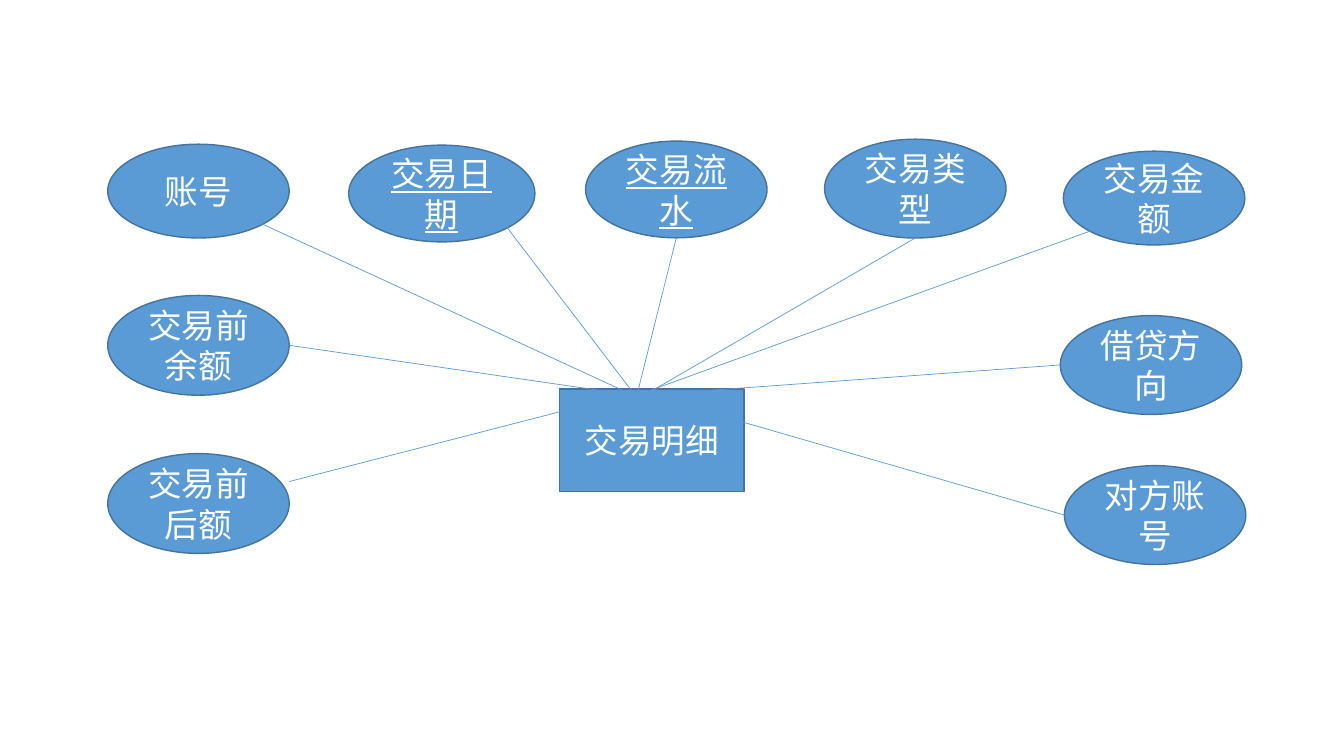
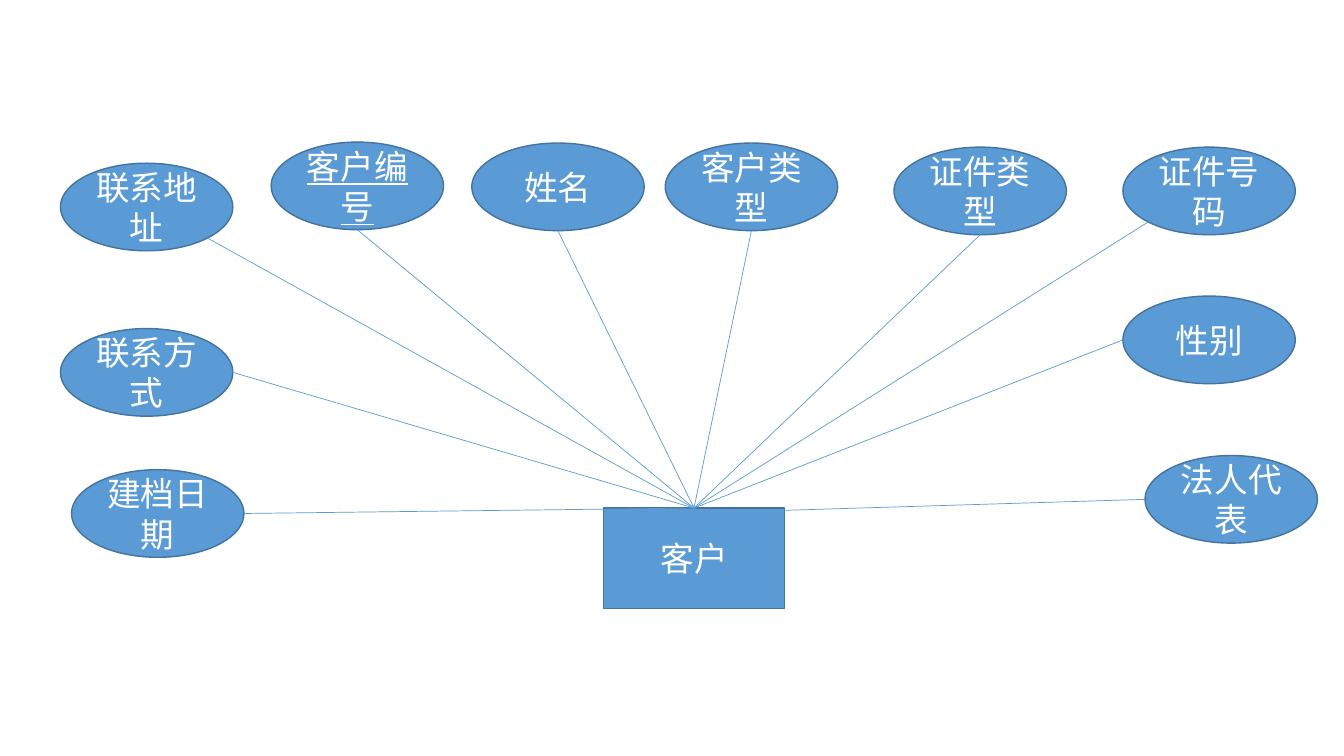
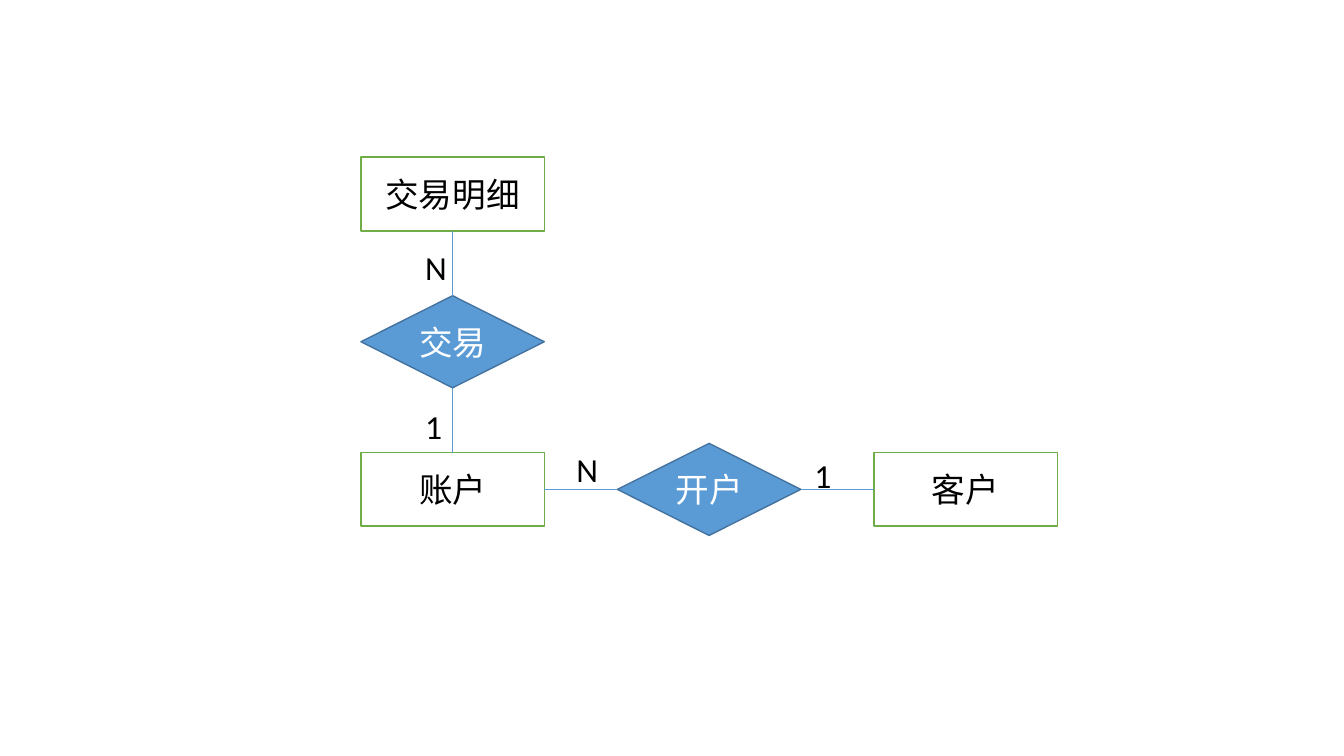
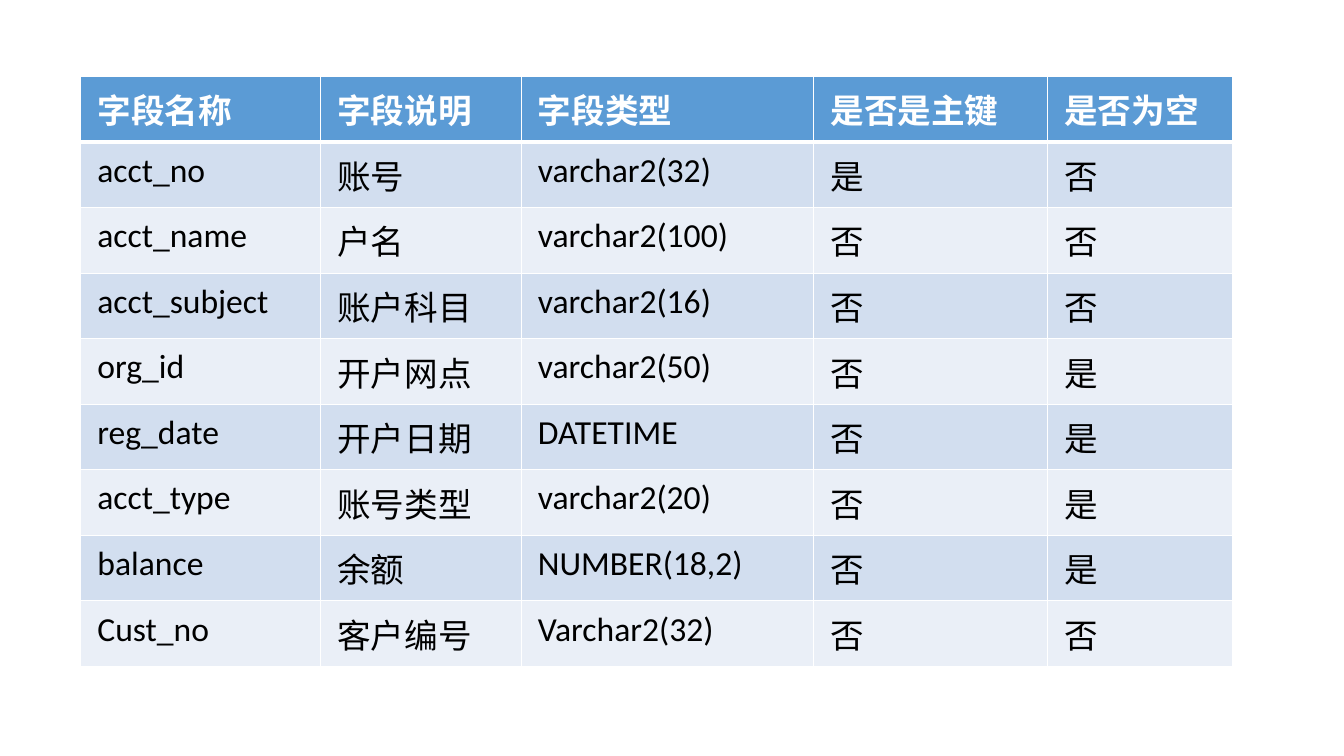
from dataclasses import dataclass

from lxml import etree
from pptx import Presentation
from pptx.dml.color import RGBColor
from pptx.enum.shapes import MSO_CONNECTOR, MSO_SHAPE
from pptx.enum.text import MSO_ANCHOR, MSO_AUTO_SIZE, PP_ALIGN
from pptx.oxml.ns import qn
from pptx.util import Pt


@dataclass(frozen=True)
class Theme:
    font: str = "Calibri"
    size: float = 24
    blue: str = "5B9BD5"
    blue_edge: str = "43739E"
    green: str = "70AD47"
    white: str = "FFFFFF"
    black: str = "000000"
    bands: tuple = ("D2DEEF", "EAEFF7")
    edge: float = 1
    link: float = 0.5
    header_rule: float = 3


@dataclass(frozen=True)
class Box:
    x: float
    y: float
    w: float
    h: float

    def inner(self, dx, dy, w, h):
        """A box placed relative to this one."""
        return Box(self.x + dx, self.y + dy, w, h)

    def point(self, anchor):
        """The point at a fraction of the width and height."""
        return self.x + anchor[0] * self.w, self.y + anchor[1] * self.h

    def lengths(self):
        return Pt(self.x), Pt(self.y), Pt(self.w), Pt(self.h)


THEME = Theme()
SOLID = (THEME.blue, THEME.blue_edge, THEME.white)
OUTLINED = (THEME.white, THEME.green, THEME.black)

# Anchors, as fractions of a box
TOP, BOTTOM, LEFT, RIGHT = (0.5, 0), (0.5, 1), (0, 0.5), (1, 0.5)
LOWER_LEFT, LOWER_RIGHT = (0.15, 0.85), (0.85, 0.85)


def rgb(value):
    return RGBColor.from_string(value)


def write(frame, text, color, align=PP_ALIGN.LEFT, bold=False, underline=None):
    paragraph = frame.paragraphs[0]
    paragraph.alignment = align
    run = paragraph.add_run()
    run.text = text
    font = run.font
    font.name, font.size = THEME.font, Pt(THEME.size)
    font.bold, font.underline = bold, underline
    font.color.rgb = rgb(color)


def add_node(slide, kind, box, text, style, underline=None):
    fill, edge, ink = style
    node = slide.shapes.add_shape(kind, *box.lengths())
    node.shadow.inherit = False
    node.fill.solid()
    node.fill.fore_color.rgb = rgb(fill)
    node.line.color.rgb = rgb(edge)
    node.line.width = Pt(THEME.edge)
    node.text_frame.word_wrap = True
    node.text_frame.vertical_anchor = MSO_ANCHOR.MIDDLE
    write(node.text_frame, text, ink, PP_ALIGN.CENTER, underline=underline)


def add_link(slide, start, end):
    ends = [Pt(length) for length in (*start, *end)]
    link = slide.shapes.add_connector(MSO_CONNECTOR.STRAIGHT, *ends)
    link.line.color.rgb = rgb(THEME.blue)
    link.line.width = Pt(THEME.link)
    etree.SubElement(link._element.spPr, qn("a:effectLst"))


def add_label(slide, box, text, wrap=False):
    frame = slide.shapes.add_textbox(*box.lengths()).text_frame
    frame.word_wrap = wrap
    frame.auto_size = MSO_AUTO_SIZE.SHAPE_TO_FIT_TEXT
    write(frame, text, THEME.black)


def attribute_diagram(slide, box, entity, attributes):
    """An entity with its attributes; key attributes are underlined."""
    name, place = entity
    entity_box = box.inner(*place)
    add_node(slide, MSO_SHAPE.RECTANGLE, entity_box, name, SOLID)

    links = []
    for text, is_key, place, anchor, target in attributes:
        oval = box.inner(*place)
        add_node(slide, MSO_SHAPE.OVAL, oval, text, SOLID, is_key or None)
        links.append((oval.point(anchor), entity_box.point(target)))
    for start, end in links:
        add_link(slide, start, end)


def relation_diagram(slide, box):
    """Entities and relations on a grid of three columns and three rows."""
    width, entity_h, relation_h = 131, 52.6, 65.8
    column_step = (box.w - width) / 2
    row_step = (box.h - entity_h) / 2

    def cell(column, row, height):
        middle = row * row_step + entity_h / 2
        return box.inner(column * column_step, middle - height / 2, width, height)

    # Entities
    details, account, customer = (
        cell(column, row, entity_h) for column, row in ((0, 0), (0, 2), (2, 2)))
    for place, text in ((details, "交易明细"), (account, "账户"), (customer, "客户")):
        add_node(slide, MSO_SHAPE.RECTANGLE, place, text, OUTLINED)

    # Relations
    trade, opening = cell(0, 1, relation_h), cell(1, 2, relation_h)
    for place, text in ((trade, "交易"), (opening, "开户")):
        add_node(slide, MSO_SHAPE.FLOWCHART_DECISION, place, text, SOLID)

    # Links
    for upper, lower in ((details, trade), (trade, account)):
        add_link(slide, upper.point(BOTTOM), lower.point(TOP))
    for first, second in ((account, opening), (opening, customer)):
        add_link(slide, first.point(RIGHT), second.point(LEFT))

    # Cardinalities
    for text, dx, dy, w, wrap in (("N", 38.8, 60.5, 30, False),
                                  ("1", 38.8, 174.3, 40, True),
                                  ("N", 146.8, 204.5, 30, False),
                                  ("1", 316.8, 208.8, 27, False)):
        add_label(slide, box.inner(dx, dy, w, 36), text, wrap)


def set_borders(cell, **widths):
    """White borders; the width of each side may be given."""
    properties = cell._tc.get_or_add_tcPr()
    for index, side in enumerate("LRTB"):
        line = etree.Element(qn(f"a:ln{side}"),
                             w=str(Pt(widths.get(side, THEME.edge))))
        fill = etree.SubElement(line, qn("a:solidFill"))
        etree.SubElement(fill, qn("a:srgbClr"), val=THEME.white)
        properties.insert(index, line)


def field_table(slide, box, column_widths, rows, header_h):
    table = slide.shapes.add_table(
        len(rows), len(column_widths), *box.lengths()).table
    table.horz_banding = False
    for column, width in zip(table.columns, column_widths):
        column.width = Pt(width)
    row_h = (box.h - header_h) / (len(rows) - 1)

    for r, values in enumerate(rows):
        is_header = r == 0
        table.rows[r].height = Pt(header_h if is_header else row_h)
        fill = THEME.blue if is_header else THEME.bands[(r - 1) % 2]
        ink = THEME.white if is_header else THEME.black
        rule = {0: {"B": THEME.header_rule}, 1: {"T": THEME.header_rule}}.get(r, {})
        for c, text in enumerate(values):
            cell = table.cell(r, c)
            cell.margin_left = cell.margin_right = Pt(12)
            cell.margin_top = cell.margin_bottom = Pt(6)
            cell.fill.solid()
            cell.fill.fore_color.rgb = rgb(fill)
            set_borders(cell, **rule)
            write(cell.text_frame, text, ink, bold=is_header)


# Attributes: text, key, place in the diagram, anchor, target on the entity
DETAIL_ENTITY = ("交易明细", (322.6, 178.5, 131.8, 73.4))
DETAIL_ATTRIBUTES = [
    ("交易日期", True, (172.1, 4.3, 133, 69.1), LOWER_RIGHT, (0.41, 0.06)),
    ("借贷方向", False, (680.4, 126, 129.6, 70.6), LEFT, (0.45, 0.06)),
    ("交易金额", False, (682.6, 8.6, 129.6, 67), LOWER_LEFT, (0.42, 0.06)),
    ("交易前余额", False, (0, 111.6, 129.6, 71.3), RIGHT, (0.4, 0.06)),
    ("交易流水", True, (341.3, 1.4, 129.6, 69.1), BOTTOM, (0.42, 0.06)),
    ("交易类型", False, (512, 0, 129.6, 70.6), BOTTOM, (0.46, 0.06)),
    ("账号", False, (0, 3.6, 129.6, 67), LOWER_RIGHT, (0.4, 0.06)),
    ("交易前后额", False, (0, 224.6, 129.6, 71.3), (1, 0.28), (0.35, 0.06)),
    ("对方账号", False, (683.3, 233.2, 129.6, 70.6), LEFT, (0.49, 0.06)),
]

OVAL_SIZE = (123.1, 62.6)
CUSTOMER_ENTITY = ("客户", (388.1, 261.4, 128.9, 72))
CUSTOMER_ATTRIBUTES = [
    ("联系方式", False, (0, 133.2, *OVAL_SIZE), RIGHT, TOP),
    ("证件类型", False, (595.4, 3.6, *OVAL_SIZE), BOTTOM, TOP),
    ("法人代表", False, (774.7, 223.9, *OVAL_SIZE), LEFT, (0.5, 0.05)),
    ("证件号码", False, (758.9, 3.6, *OVAL_SIZE), LOWER_LEFT, TOP),
    ("客户类型", False, (432, 0.7, *OVAL_SIZE), BOTTOM, TOP),
    ("客户编号", True, (150.5, 0, *OVAL_SIZE), BOTTOM, TOP),
    ("姓名", False, (293.8, 0.7, *OVAL_SIZE), BOTTOM, TOP),
    ("性别", False, (758.9, 110, *OVAL_SIZE), LEFT, TOP),
    ("建档日期", False, (7.9, 234, *OVAL_SIZE), RIGHT, TOP),
    ("联系地址", False, (0, 15.1, *OVAL_SIZE), LOWER_RIGHT, TOP),
]

FIELD_COLUMNS = (171.4, 143.3, 209, 167, 132.5)
FIELD_ROWS = [
    ("字段名称", "字段说明", "字段类型", "是否是主键", "是否为空"),
    ("acct_no", "账号", "varchar2(32)", "是", "否"),
    ("acct_name", "户名", "varchar2(100)", "否", "否"),
    ("acct_subject", "账户科目", "varchar2(16)", "否", "否"),
    ("org_id", "开户网点", "varchar2(50)", "否", "是"),
    ("reg_date", "开户日期", "DATETIME", "否", "是"),
    ("acct_type", "账号类型", "varchar2(20)", "否", "是"),
    ("balance", "余额", "NUMBER(18,2)", "否", "是"),
    ("Cust_no", "客户编号", "Varchar2(32)", "否", "否"),
]


def main():
    deck = Presentation()
    deck.slide_width, deck.slide_height = Pt(960), Pt(540)
    blank = deck.slide_layouts[6]
    detail, customer, relations, fields = (
        deck.slides.add_slide(blank) for _ in range(4))

    attribute_diagram(detail, Box(77, 99.4, 813, 304),
                      DETAIL_ENTITY, DETAIL_ATTRIBUTES)
    attribute_diagram(customer, Box(43.2, 101.5, 898, 333.4),
                      CUSTOMER_ENTITY, CUSTOMER_ATTRIBUTES)
    relation_diagram(relations, Box(257.8, 112.3, 497.4, 263.6))
    field_table(fields, Box(57.6, 54.7, sum(FIELD_COLUMNS), 374),
                FIELD_COLUMNS, FIELD_ROWS, header_h=38)
    deck.save("out.pptx")


main()
